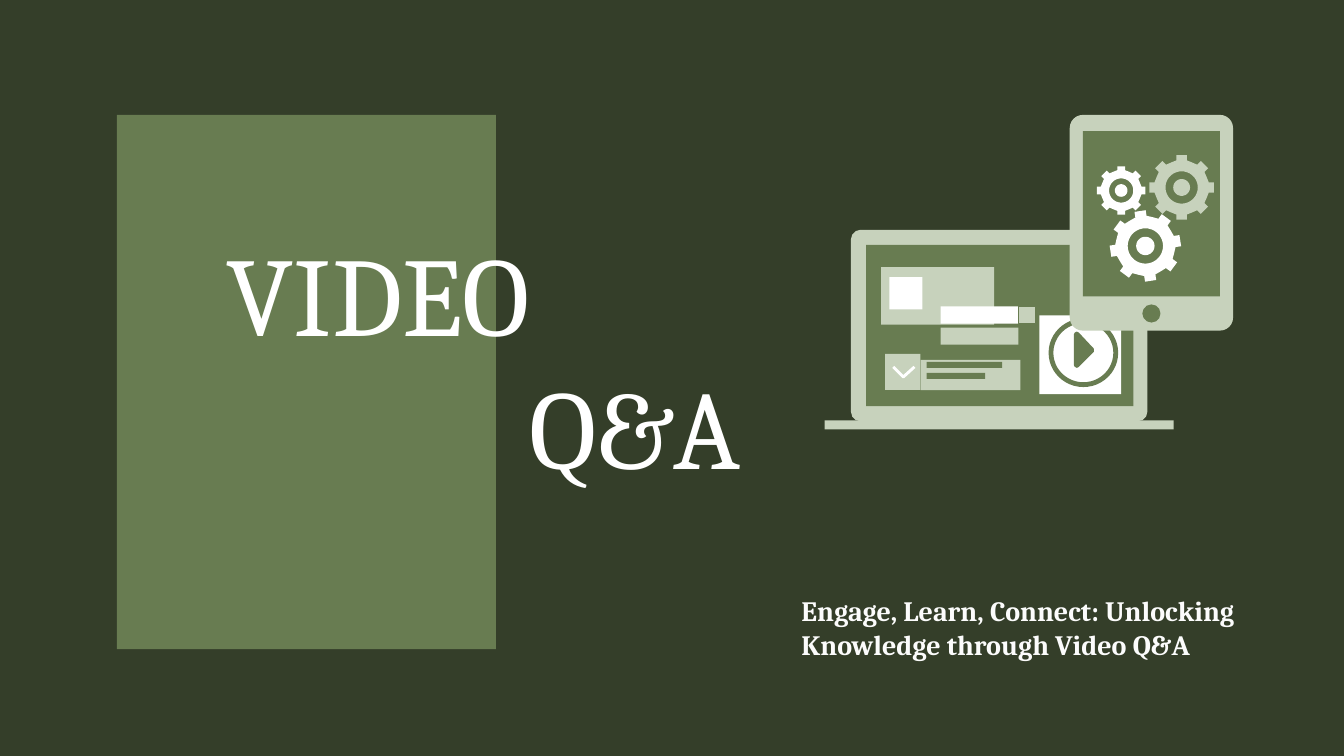
from math import cos, pi, sin

from pptx import Presentation
from pptx.dml.color import RGBColor
from pptx.enum.shapes import MSO_SHAPE
from pptx.enum.text import MSO_ANCHOR
from pptx.util import Inches, Pt

RECT = MSO_SHAPE.RECTANGLE
ROUND = MSO_SHAPE.ROUNDED_RECTANGLE
OVAL = MSO_SHAPE.OVAL
DONUT = MSO_SHAPE.DONUT
MIDDLE = MSO_ANCHOR.MIDDLE
DARK, GREEN, PALE, WHITE = "343E29", "687C51", "C7D2BC", "FFFFFF"


def rgb(code):
    """Turn a hex string into a colour."""
    return RGBColor.from_string(code)


def paint(shape, fill, line=None):
    """Give a shape a flat fill and an optional thin line."""
    shape.shadow.inherit = False
    shape.fill.solid()
    shape.fill.fore_color.rgb = rgb(fill)
    if line:
        shape.line.color.rgb = rgb(line)
        shape.line.width = Pt(0.75)
    else:
        shape.line.fill.background()


def block(slide, x, y, w, h, fill, kind=RECT, adj=None, line=None):
    """Add a preset shape, measured in inches."""
    shape = slide.shapes.add_shape(kind, Inches(x), Inches(y), Inches(w), Inches(h))
    if adj is not None:
        shape.adjustments[0] = adj
    paint(shape, fill, line)


def outline(slide, loops, fill):
    """Add one filled freeform made of closed loops of points."""
    loops = [[(Inches(x), Inches(y)) for x, y in loop] for loop in loops]
    pen = slide.shapes.build_freeform(*loops[0][0], scale=1.0)
    pen.add_line_segments(loops[0][1:], close=True)
    for loop in loops[1:]:
        pen.move_to(*loop[0])
        pen.add_line_segments(loop[1:], close=True)
    paint(pen.convert_to_shape(), fill)


def write(slide, x, y, w, h, lines, size, color=WHITE, bold=False,
          space=None, indents=(0,), inset=None, anchor=None):
    """Add a text box with one paragraph for each line."""
    frame = slide.shapes.add_textbox(Inches(x), Inches(y), Inches(w), Inches(h)).text_frame
    frame.word_wrap = True
    if anchor is not None:
        frame.vertical_anchor = anchor
    if inset is not None:
        frame.margin_left = frame.margin_right = Inches(inset)
        frame.margin_top = frame.margin_bottom = Inches(inset)
    for i, (line, indent) in enumerate(zip(lines, indents)):
        para = frame.add_paragraph() if i else frame.paragraphs[0]
        if indent:
            para._p.get_or_add_pPr().set("marL", str(Inches(indent)))
        if space:
            para.line_spacing = Pt(space)
        run = para.add_run()
        run.text = line
        run.font.name = "Cambria"
        run.font.size = Pt(size)
        run.font.bold = bold
        run.font.color.rgb = rgb(color)


def ring(x, y, r, count=48):
    """Return points around a circle."""
    return [(x + r * cos(2 * pi * i / count), y + r * sin(2 * pi * i / count))
            for i in range(count)]


def gear(slide, x, y, r, fill, turn=0):
    """Draw an eight-tooth gear with a hole and a hub."""
    half, body = 0.16 * r, 0.84 * r
    teeth = []
    for i in range(8):
        a = turn + i * pi / 4
        for out, side in ((body, -half), (r, -half), (r, half), (body, half)):
            teeth.append((x + out * cos(a) - side * sin(a),
                          y + out * sin(a) + side * cos(a)))
        mid = a + pi / 8
        teeth.append((x + body * cos(mid), y + body * sin(mid)))
    outline(slide, [teeth, ring(x, y, 0.5 * r), ring(x, y, 0.26 * r)], fill)


def laptop(slide, x, y):
    """Draw the laptop and the panels on its screen."""
    block(slide, x + 0.26, y, 2.94, 1.9, PALE, ROUND, 0.05)
    for dx, dy, w, h, fill in (
        (0.41, 0.15, 2.65, 1.6, GREEN),
        (0, 1.89, 3.46, 0.09, PALE),
        (0.56, 0.37, 1.12, 0.57, PALE),
        (0.64, 0.47, 0.33, 0.32, WHITE),
        (0.95, 1.29, 0.99, 0.3, PALE),
        (1.01, 1.31, 0.75, 0.06, GREEN),
        (1.01, 1.42, 0.58, 0.06, GREEN),
        (0.6, 1.23, 0.35, 0.36, PALE),
        (1.15, 0.97, 0.77, 0.17, PALE),
        (1.15, 0.76, 0.77, 0.17, WHITE),
        (2.13, 0.85, 0.81, 0.78, WHITE),
    ):
        block(slide, x + dx, y + dy, w, h, fill)
    block(slide, x + 1.92, y + 0.76, 0.17, 0.17, PALE, line=GREEN)
    tick = [(0.69, 1.35), (0.78, 1.44), (0.88, 1.35), (0.9, 1.37),
            (0.79, 1.47), (0.77, 1.47), (0.67, 1.37)]
    play = [(2.5, 1.01), (2.52, 1.02), (2.67, 1.18), (2.67, 1.21),
            (2.52, 1.36), (2.5, 1.37), (2.48, 1.36), (2.47, 1.34),
            (2.47, 1.04), (2.48, 1.02)]
    for shape, fill in ((tick, WHITE), (play, GREEN)):
        outline(slide, [[(x + dx, y + dy) for dx, dy in shape]], fill)
    block(slide, x + 2.22, y + 0.88, 0.69, 0.68, GREEN, DONUT, 0.07)


def tablet(slide, x, y):
    """Draw the tablet with three gears."""
    block(slide, x, y, 1.62, 2.14, PALE, ROUND, 0.08)
    block(slide, x + 0.13, y + 0.16, 1.36, 1.64, GREEN)
    block(slide, x + 0.72, y + 1.88, 0.18, 0.18, GREEN, OVAL)
    gear(slide, x + 1.11, y + 0.72, 0.32, PALE)
    gear(slide, x + 0.51, y + 0.75, 0.24, WHITE)
    gear(slide, x + 0.75, y + 1.3, 0.35, WHITE, -0.15)


def main():
    """Build the title slide."""
    deck = Presentation()
    deck.slide_width, deck.slide_height = Inches(13.33), Inches(7.5)
    slide = deck.slides.add_slide(deck.slide_layouts[6])
    slide.background.fill.solid()
    slide.background.fill.fore_color.rgb = rgb(DARK)
    block(slide, 1.16, 1.14, 3.76, 5.3, GREEN)
    write(slide, 2.25, 2.23, 6.55, 2.66, ["VIDEO", "Q&A"], 80,
          space=95, indents=(0, 3), inset=0, anchor=MIDDLE)
    write(slide, 7.85, 5.84, 4.81, 0.79,
          ["Engage, Learn, Connect: Unlocking Knowledge through Video Q&A"],
          20, color="FCFCFC", bold=True)
    laptop(slide, 8.18, 2.28)
    tablet(slide, 10.61, 1.14)
    deck.save("out.pptx")


if __name__ == "__main__":
    main()
